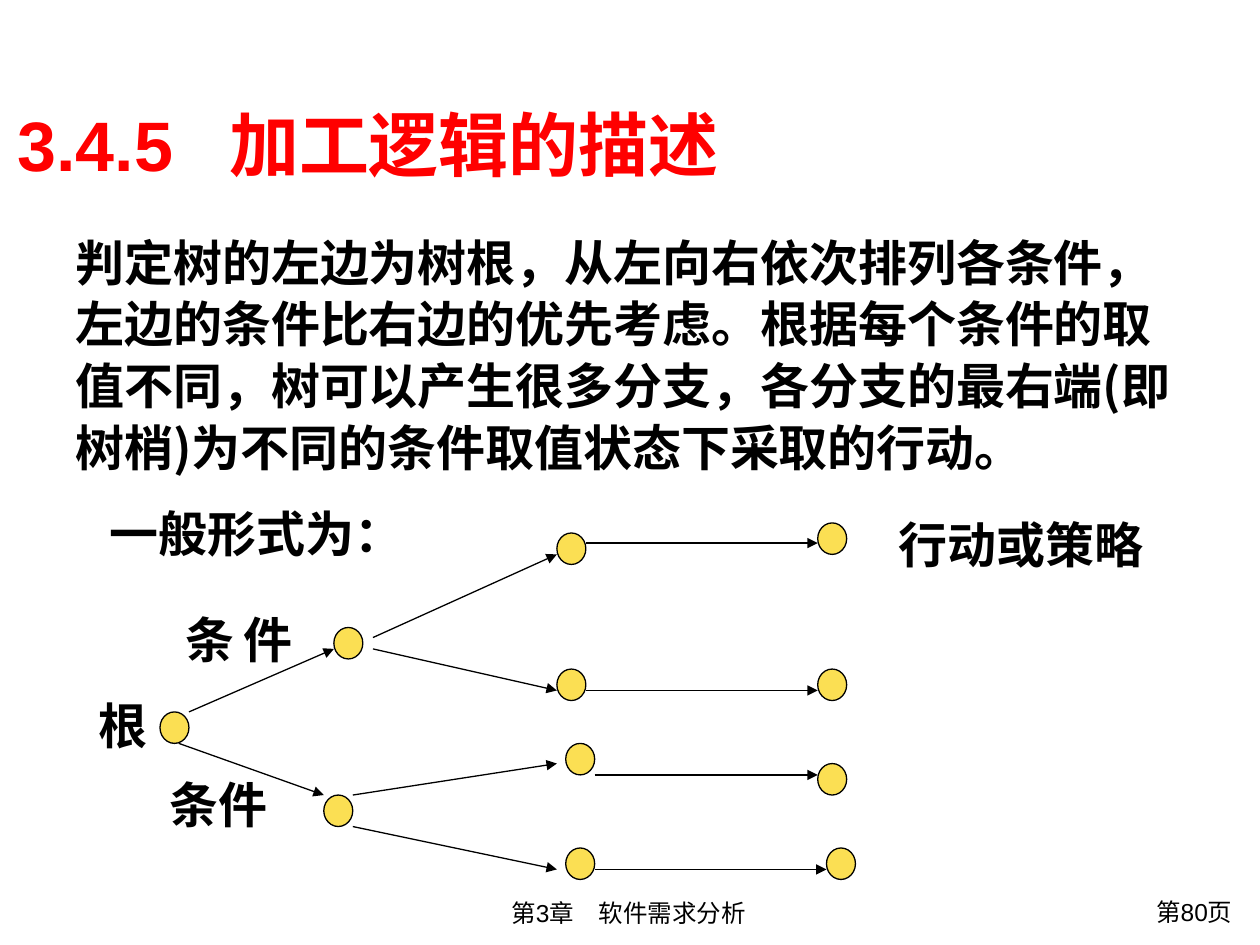
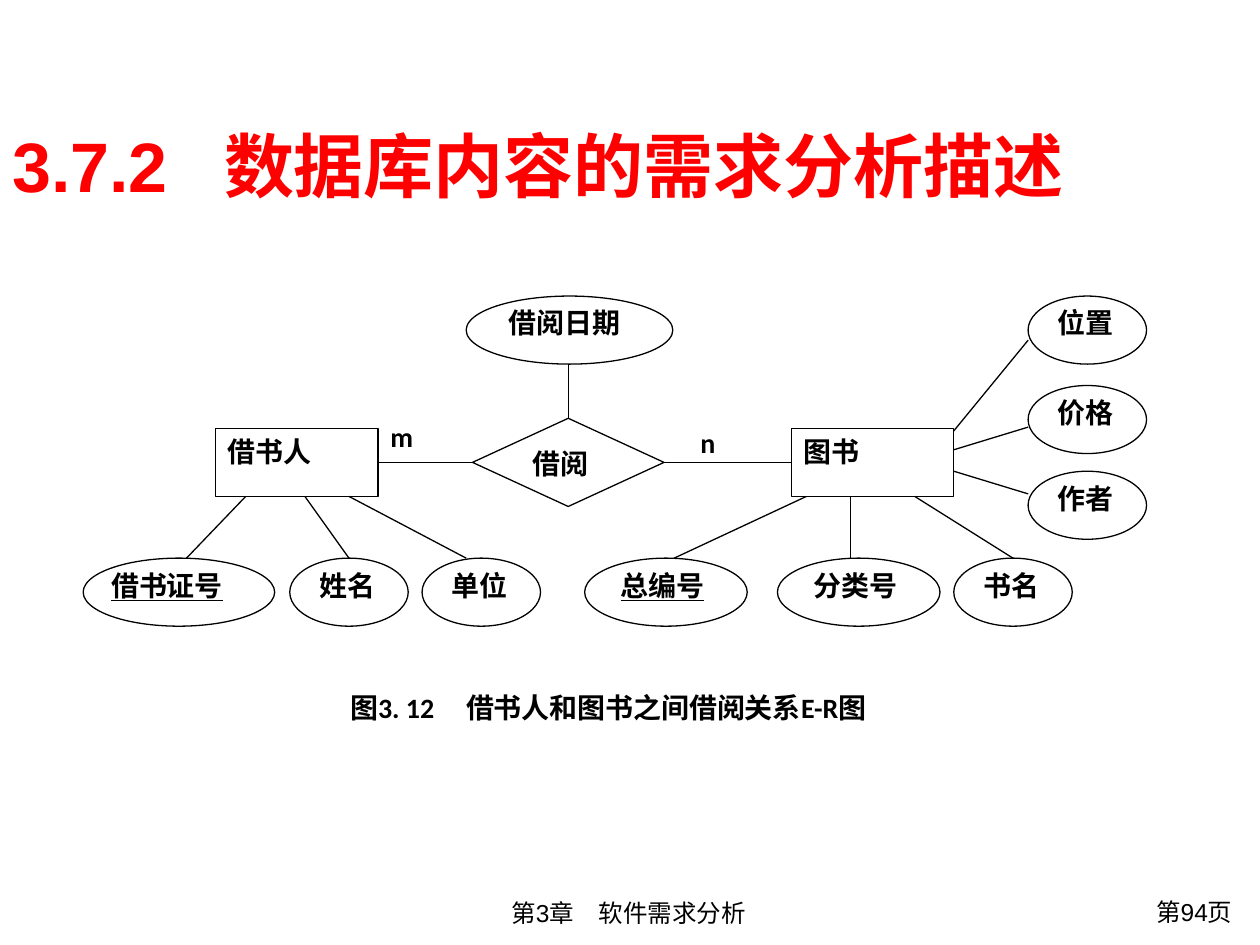
from dataclasses import dataclass

from lxml.etree import SubElement
from pptx import Presentation
from pptx.dml.color import RGBColor
from pptx.enum.shapes import MSO_CONNECTOR, MSO_SHAPE
from pptx.enum.text import MSO_ANCHOR, PP_ALIGN
from pptx.oxml.ns import qn
from pptx.util import Inches, Pt


@dataclass(frozen=True)
class Theme:
    """Colours, fonts and sizes in one place."""
    ink: str = "000000"
    red: str = "FF0000"
    gold: str = "FBDF53"
    white: str = "FFFFFF"
    sans: str = "Arial"
    node: str = "Calibri"
    han: str = "Noto Sans CJK SC"
    head: int = 40
    body: int = 28
    label: int = 16
    foot: int = 14
    rule: float = 0.75


THEME = Theme()


def write(para, text, size=THEME.body, font=THEME.sans, color=THEME.ink,
          bold=True, under=False, align=PP_ALIGN.LEFT, stop=None,
          indent=0, before=0, lead=None):
    """Put formatted text into a paragraph."""
    props = para._p.get_or_add_pPr()
    if indent:
        props.set("marL", str(Inches(indent)))
        props.set("indent", "0")
    if stop:
        tabs = SubElement(props, qn("a:tabLst"))
        SubElement(tabs, qn("a:tab"), pos=str(Inches(stop)), algn="l")
    para.alignment = align
    para.space_before = Pt(before)
    if lead:
        para.line_spacing = lead
    run = para.add_run()
    run.text = text
    run.font.size = Pt(size)
    run.font.bold = bold
    run.font.underline = under
    run.font.color.rgb = RGBColor.from_string(color)
    run.font.name = font
    SubElement(run._r.get_or_add_rPr(), qn("a:ea"), typeface=THEME.han)


class Deck:
    """Holds the style and the slide being drawn."""

    def __init__(self, theme):
        """Start an empty deck."""
        self.theme = theme
        self.show = Presentation()
        self.show.slide_width, self.show.slide_height = Inches(10), Inches(7.5)
        self.slide = None

    def page(self, title, number, place):
        """Add a slide with its title and footers."""
        t = self.theme
        self.slide = self.show.slides.add_slide(self.show.slide_layouts[6])
        self.text(place, title, size=t.head, color=t.red, stop=1.68,
                  anchor=MSO_ANCHOR.MIDDLE)
        self.text((2.35, 7.08, 5.28, 0.34), "第3章　软件需求分析",
                  size=t.foot, bold=False, align=PP_ALIGN.CENTER)
        self.text((8.54, 7.07, 1.34, 0.37), f"第{number}页", size=t.foot,
                  bold=False, align=PP_ALIGN.RIGHT)

    def text(self, place, text, anchor=MSO_ANCHOR.TOP, **look):
        """Add a text box and return its frame."""
        frame = self.slide.shapes.add_textbox(*map(Inches, place)).text_frame
        frame.word_wrap = True
        frame.vertical_anchor = anchor
        write(frame.paragraphs[0], text, **look)
        return frame

    def tag(self, place, text):
        """Add a label beside the tree."""
        self.text(place, text, anchor=MSO_ANCHOR.MIDDLE, align=PP_ALIGN.RIGHT)

    def shape(self, kind, place, fill, edge=THEME.ink):
        """Add a filled preset shape."""
        item = self.slide.shapes.add_shape(kind, *map(Inches, place))
        item.shadow.inherit = False
        item.fill.solid()
        item.fill.fore_color.rgb = RGBColor.from_string(fill)
        item.line.color.rgb = RGBColor.from_string(edge)
        item.line.width = Pt(self.theme.rule)
        return item

    def node(self, kind, place, text, edge=THEME.ink, top=0.05, left=0.1, **look):
        """Add a white shape with a label."""
        item = self.shape(kind, place, self.theme.white, edge)
        frame = item.text_frame
        frame.word_wrap = True
        frame.vertical_anchor = MSO_ANCHOR.TOP
        frame.margin_top, frame.margin_left = Inches(top), Inches(left)
        write(frame.paragraphs[0], text, size=self.theme.label,
              font=self.theme.node, **look)
        return item

    def line(self, x1, y1, x2, y2, arrow=False, start=None, end=None):
        """Add a line, with an arrowhead or joined ends if asked."""
        link = self.slide.shapes.add_connector(
            MSO_CONNECTOR.STRAIGHT, *map(Inches, (x1, y1, x2, y2)))
        link.line.color.rgb = RGBColor.from_string(self.theme.ink)
        link.line.width = Pt(self.theme.rule)
        props = link.element.spPr
        if arrow:
            SubElement(props.find(qn("a:ln")), qn("a:tailEnd"), type="triangle")
        SubElement(props, qn("a:effectLst"))
        if start:
            link.begin_connect(*start)
        if end:
            link.end_connect(*end)


def tree(deck):
    """Draw the decision tree slide."""
    deck.page("3.4.5\t加工逻辑的描述", 80, (0.04, 0.78, 8.43, 0.72))
    look = {"font": THEME.han, "lead": 1.05}
    frame = deck.text(
        (0.5, 1.77, 8.98, 4.58),
        "判定树的左边为树根，从左向右依次排列各条件，左边的条件比右边的优先考虑。"
        "根据每个条件的取值不同，树可以产生很多分支，各分支的最右端(即树梢)"
        "为不同的条件取值状态下采取的行动。", **look)
    write(frame.add_paragraph(), "一般形式为：", indent=0.27, before=14, **look)

    dots = [(1.27, 5.65), (2.65, 4.98), (2.57, 6.31),
            (4.42, 4.23), (4.42, 5.31), (4.49, 5.9), (4.49, 6.73),
            (6.49, 4.15), (6.49, 5.31), (6.49, 6.06), (6.56, 6.73)]
    for x, y in dots:
        deck.shape(MSO_SHAPE.OVAL, (x, y, 0.23, 0.25), THEME.gold)

    edges = [(1.5, 5.65, 2.65, 5.15), (1.42, 5.9, 2.57, 6.31),
             (2.96, 5.06, 4.42, 4.4), (2.96, 5.15, 4.42, 5.48),
             (2.8, 6.31, 4.42, 6.06), (2.8, 6.56, 4.42, 6.9)]
    leaves = [(4.65, 6.49, 4.31), (4.65, 6.49, 5.48),
              (4.72, 6.49, 6.15), (4.72, 6.56, 6.9)]
    for edge in edges + [(a, y, b, y) for a, b, y in leaves]:
        deck.line(*edge, arrow=True)

    deck.tag((0.43, 5.54, 0.84, 0.42), "根")
    deck.tag((1.26, 4.82, 0.7, 0.5), "条")
    deck.tag((1.72, 4.82, 0.7, 0.5), "件")
    deck.tag((1.12, 6.13, 1.1, 0.5), "条件")
    deck.tag((6.79, 3.98, 2.38, 0.67), "行动或策略")


def loans(deck):
    """Draw the entity diagram slide."""
    deck.page("3.7.2\t数据库内容的需求分析描述", 94, (0, 0.83, 9.77, 0.95))
    tall, top, low = 0.54, 3.4, 4.43
    base = top + tall
    reader, book = [
        deck.node(MSO_SHAPE.RECTANGLE, (x, top, 1.29, tall), name)
        for x, name in [(1.71, "借书人"), (6.28, "图书")]]
    borrow = deck.node(MSO_SHAPE.FLOWCHART_DECISION, (3.75, 3.32, 1.52, 0.7), "借阅")

    traits = [(3.7, 2.35, 1.64, "借阅日期"),
              (2.3, low, 0.94, "姓名"), (3.35, low, 0.94, "单位"),
              (6.17, low, 1.29, "分类号"), (7.57, low, 0.94, "书名"),
              (8.16, 2.35, 0.94, "位置"), (8.16, 3.06, 0.94, "价格"),
              (8.16, 3.74, 0.94, "作者")]
    for x, y, wide, name in traits:
        deck.node(MSO_SHAPE.OVAL, (x, y, wide, tall), name, top=0)
    for x, wide, left, name in [(0.66, 1.52, 0, "借书证号"), (4.64, 1.29, 0.1, "总编号")]:
        deck.node(MSO_SHAPE.OVAL, (x, low, wide, tall), name, top=0, left=left, under=True)

    deck.line(3, 3.67, 3.75, 3.67, start=(reader, 3), end=(borrow, 1))
    deck.line(5.27, 3.67, 6.28, 3.67, start=(borrow, 3), end=(book, 1))
    deck.line(4.51, 2.89, 4.51, 3.32, end=(borrow, 0))
    for a, b in [(1.95, 1.48), (2.42, 2.77), (2.77, 3.7),
                 (6.4, 5.35), (6.75, 6.75), (7.26, 8.04)]:
        deck.line(a, base, b, low)
    for a, b in [(3.42, 2.7), (3.57, 3.39), (3.74, 3.92)]:
        deck.line(7.57, a, 8.16, b)

    for x, y, name in [(3, 3.28, "m"), (5.46, 3.33, "n")]:
        deck.text((x, y, 0.82, tall), name, size=THEME.label, font=THEME.node)
    deck.node(MSO_SHAPE.RECTANGLE, (2.68, 5.43, 4.32, 0.64),
              "图3. 12\t借书人和图书之间借阅关系E-R图", edge=THEME.white,
              align=PP_ALIGN.JUSTIFY, stop=0.92)


def main():
    """Build and save both slides."""
    deck = Deck(THEME)
    tree(deck)
    loans(deck)
    deck.show.save("out.pptx")


if __name__ == "__main__":
    main()
